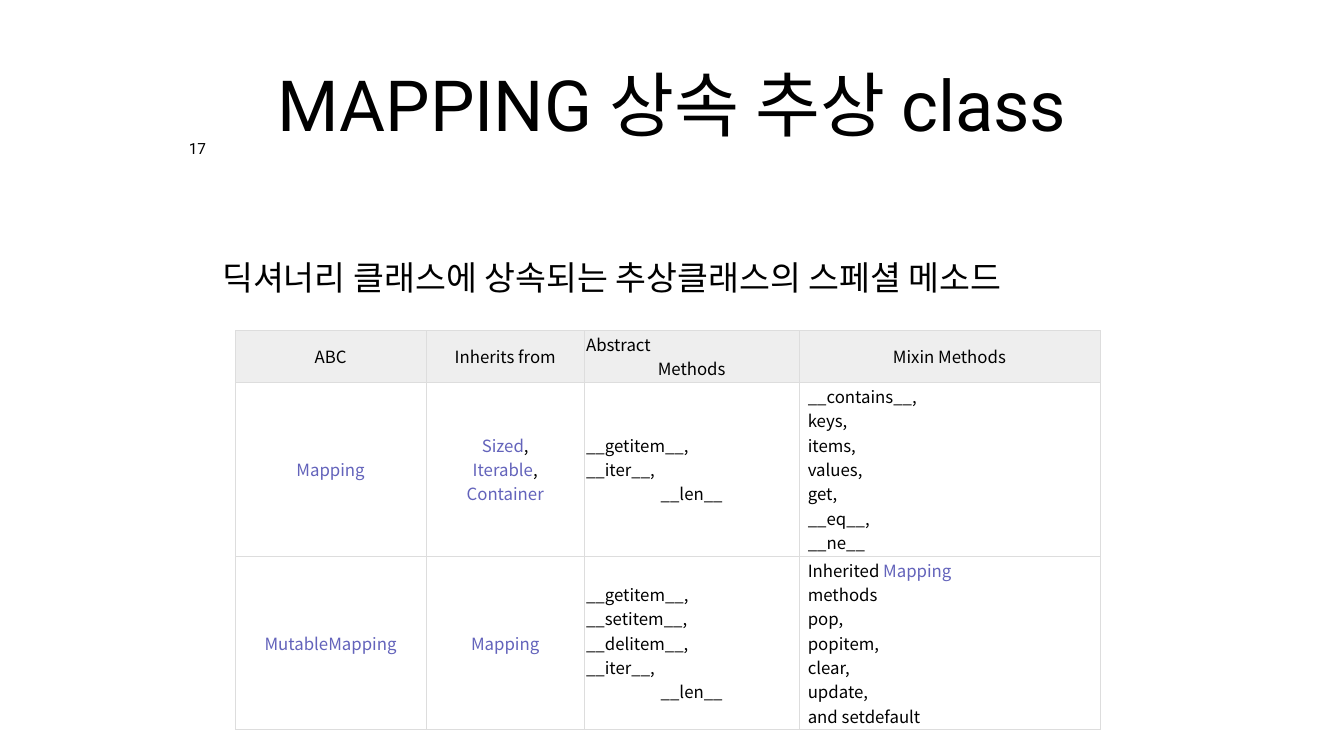
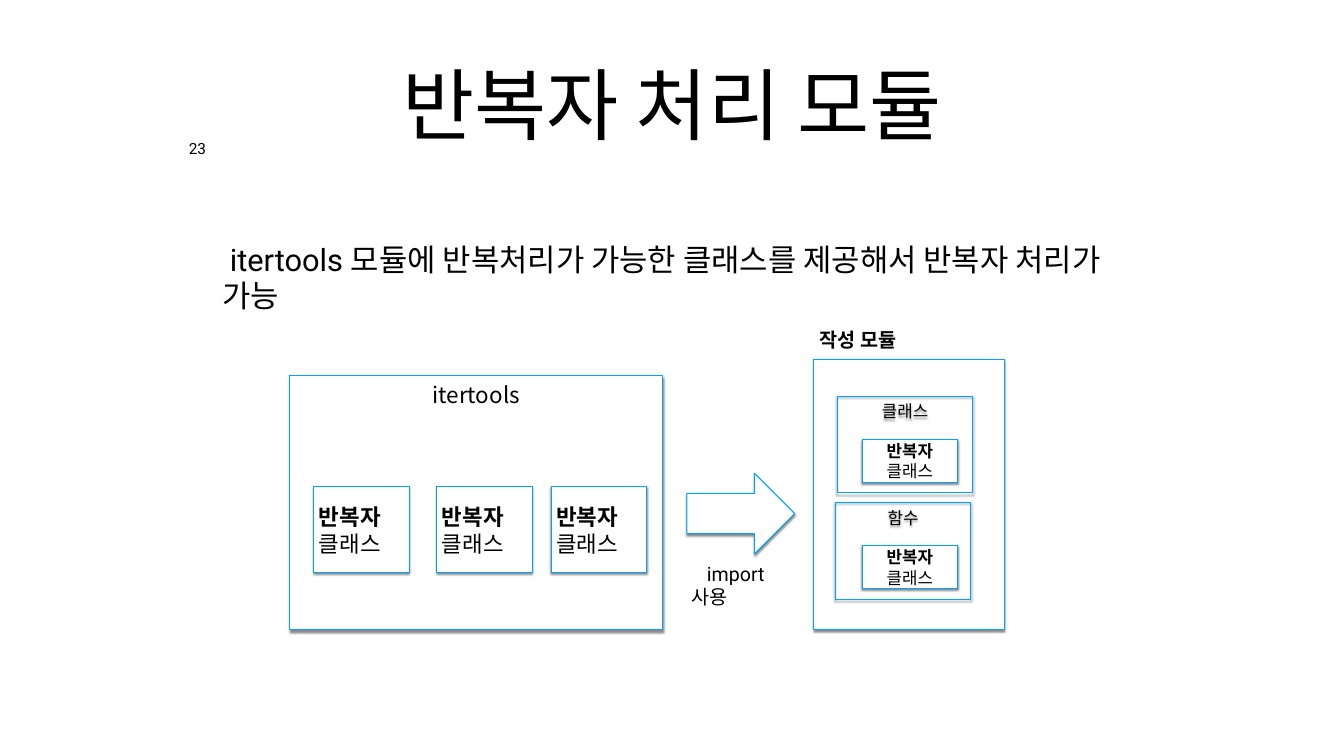
from dataclasses import dataclass
from typing import NamedTuple

from lxml import etree
from pptx import Presentation
from pptx import util as u
from pptx.dml import color as dml
from pptx.enum import shapes, text
from pptx.oxml import ns

COLORS = {
    "ink": "000000",
    "paper": "FFFFFF",
    "link": "6363BB",
    "header": "EEEEEE",
    "grid": "DDDDDD",
    "outline": "00A2FF",
}
ROBOTO = "Roboto"
NOTO = "Noto Sans CJK KR"
LEFT, CENTER = text.PP_ALIGN.LEFT, text.PP_ALIGN.CENTER
TOP, MIDDLE = text.MSO_ANCHOR.TOP, text.MSO_ANCHOR.MIDDLE
RECTANGLE = shapes.MSO_SHAPE.RECTANGLE


class Span(NamedTuple):
    text: str
    color: str = "ink"
    bold: bool = False


class Area(NamedTuple):
    left: float
    top: float
    width: float
    height: float

    def lengths(self) -> list:
        return [u.Inches(value) for value in self]


@dataclass
class Style:
    size: float
    font: str = NOTO
    align: text.PP_ALIGN = CENTER
    anchor: text.MSO_ANCHOR = TOP
    inset: float = 0.1
    indent: float = 0
    before: float = 0
    spacing: float = 1


@dataclass
class Panel:
    area: Area
    lines: tuple = ()
    style: Style | None = None
    geometry: shapes.MSO_SHAPE = RECTANGLE
    filled: bool = True


def rgb(name: str) -> dml.RGBColor:
    return dml.RGBColor.from_string(COLORS[name])


def add_node(parent, tag: str, **attributes):
    node = etree.SubElement(parent, ns.qn(tag))
    for key, value in attributes.items():
        node.set(key, str(value))
    return node


def write_lines(frame, lines: tuple, style: Style) -> None:
    frame.vertical_anchor = style.anchor
    for index, line in enumerate(lines):
        para = frame.paragraphs[0] if index == 0 else frame.add_paragraph()
        para.alignment = style.align
        para.line_spacing = style.spacing
        para.space_before = u.Pt(style.before)
        properties = para._p.get_or_add_pPr()
        properties.set("marL", "0")
        properties.set("indent", str(u.Inches(style.indent)))
        add_node(properties, "a:buNone")
        font = para.font
        font.size, font.name = u.Pt(style.size), style.font
        font.color.rgb = rgb("ink")
        add_node(properties.find(ns.qn("a:defRPr")), "a:ea", typeface=NOTO)
        for span in (Span(line),) if isinstance(line, str) else line:
            run = para.add_run()
            run.text = span.text
            if span.color != "ink":
                run.font.color.rgb = rgb(span.color)
            if span.bold:
                run.font.bold = True


def fill_box(box, area: Area, lines: tuple, style: Style, wrap: bool = True) -> None:
    box.left, box.top, box.width, box.height = area.lengths()
    frame = box.text_frame
    frame.auto_size = text.MSO_AUTO_SIZE.NONE
    frame.word_wrap = wrap
    frame.margin_left = frame.margin_right = u.Inches(style.inset)
    frame.margin_top = frame.margin_bottom = u.Inches(style.inset)
    write_lines(frame, lines, style)


def add_text(page, area: Area, lines: tuple, style: Style, wrap: bool = True) -> None:
    box = page.shapes.add_textbox(*area.lengths())
    fill_box(box, area, lines, style, wrap)


def add_page(deck, number: int, title: str, title_size: float,
             body: str, body_size: float, body_indent: float = 0):
    page = deck.slides.add_slide(deck.slide_layouts[1])
    fill_box(page.shapes.title, Area(4.8, 0.39, 17.07, 3.32), (title,),
             Style(title_size, ROBOTO, anchor=MIDDLE, inset=0.08))
    fill_box(page.placeholders[1], Area(4.33, 3.5, 18, 4), (body,),
             Style(body_size, ROBOTO, LEFT, MIDDLE, 0.08, body_indent, before=59))
    add_text(page, Area(3.67, 2.75, 0.5, 0.45), (str(number),),
             Style(22, ROBOTO, inset=0.08, spacing=0.8), wrap=False)
    return page


def add_panel(page, panel: Panel) -> None:
    shape = page.shapes.add_shape(panel.geometry, *panel.area.lengths())
    if panel.filled:
        shape.fill.solid()
        shape.fill.fore_color.rgb = rgb("paper")
    else:
        shape.fill.background()
    shape.line.color.rgb = rgb("outline")
    shape.line.width = u.Pt(1.5)
    shape.shadow.inherit = False
    effects = shape._element.spPr.find(ns.qn("a:effectLst"))
    shadow = add_node(effects, "a:outerShdw", blurRad=u.Pt(3), dist=u.Pt(2.4),
                      dir=5400000, rotWithShape=0)
    shade = add_node(shadow, "a:srgbClr", val=COLORS["ink"])
    add_node(shade, "a:alpha", val=45000)
    if panel.style:
        fill_box(shape, panel.area, panel.lines, panel.style)


def add_borders(cell) -> None:
    properties = cell._tc.get_or_add_tcPr()
    for index, side in enumerate("LRTB"):
        border = add_node(properties, f"a:ln{side}", w=u.Pt(0.6))
        fill = add_node(border, "a:solidFill")
        add_node(fill, "a:srgbClr", val=COLORS["grid"])
        properties.insert(index, border)


def add_method_table(page) -> None:
    mapping = Span("Mapping", "link")
    rows = [
        [("ABC",), ("Inherits from",), ("Abstract", "Methods"), ("Mixin Methods",)],
        [
            ((mapping,),),
            ((Span("Sized", "link"), Span(",")),
             (Span("Iterable", "link"), Span(",")),
             (Span("Container", "link"),)),
            ("__getitem__,", "__iter__,", "__len__"),
            ("__contains__,", "keys,", "items,", "values,", "get,", "__eq__,", "__ne__"),
        ],
        [
            ((Span("MutableMapping", "link"),),),
            ((mapping,),),
            ("__getitem__,", "__setitem__,", "__delitem__,", "__iter__,", "__len__"),
            ((Span("Inherited "), mapping), "methods", "pop,", "popitem,",
             "clear,", "update,", "and setdefault"),
        ],
    ]
    abstract_column, mixin_column = 2, 3
    area = Area(4.67, 6.56, 17.17, 7.03)
    table = page.shapes.add_table(len(rows), len(rows[0]), *area.lengths()).table
    table.first_row = table.horz_banding = False
    for column, width in zip(table.columns, (3.78, 3.15, 4.25, 5.98)):
        column.width = u.Inches(width)
    for row, height in zip(table.rows, (0.87, 2.85, 3.31)):
        row.height = u.Inches(height)
    for row_index, row in enumerate(rows):
        for column_index, lines in enumerate(row):
            cell = table.cell(row_index, column_index)
            is_mixin_list = row_index > 0 and column_index == mixin_column
            cell.margin_left = u.Inches(0.18 if is_mixin_list else 0.03)
            cell.margin_right = cell.margin_top = cell.margin_bottom = u.Inches(0.03)
            cell.fill.solid()
            cell.fill.fore_color.rgb = rgb("paper" if row_index else "header")
            add_borders(cell)
            write_lines(cell.text_frame, lines, Style(24, align=LEFT if is_mixin_list else CENTER))
            cell.vertical_anchor = MIDDLE
            if column_index == abstract_column:
                for para in cell.text_frame.paragraphs[:-1]:
                    para.alignment = LEFT


def add_import_diagram(page) -> None:
    iterator_class = ((Span("반복자", bold=True),), "클래스")
    add_panel(page, Panel(Area(5.75, 7.46, 7.4, 5.04), ("itertools",), Style(32)))
    for left in (6.23, 8.67, 10.94):
        add_panel(page, Panel(Area(left, 9.66, 1.89, 1.7), iterator_class,
                              Style(32, align=LEFT, anchor=MIDDLE)))
    add_panel(page, Panel(Area(16.15, 7.14, 3.78, 5.35)))
    add_text(page, Area(16.17, 6.4, 3.13, 0.67), ((Span("작성 모듈", bold=True),),),
             Style(28, ROBOTO, LEFT))
    add_panel(page, Panel(Area(13.63, 9.39, 2.14, 1.6),
                          geometry=shapes.MSO_SHAPE.RIGHT_ARROW))
    caption = Area(13.63, 11.05, 2.52, 0.81)
    add_text(page, caption, ("import",), Style(28, ROBOTO, LEFT, indent=0.3))
    add_text(page, caption._replace(top=caption.top + 0.46), ("사용",),
             Style(28, ROBOTO, LEFT))
    for left, top, name in ((16.62, 7.86, "클래스"), (16.58, 9.97, "함수")):
        add_panel(page, Panel(Area(17.11, top + 0.86, 1.89, 0.85), iterator_class,
                              Style(24, anchor=MIDDLE)))
        add_panel(page, Panel(Area(left, top, 2.68, 1.92), (name,), Style(24), filled=False))


def main() -> None:
    deck = Presentation()
    deck.slide_width, deck.slide_height = u.Inches(26.67), u.Inches(15)
    mapping_page = add_page(deck, 17, "MAPPING 상속 추상 class", 100.8,
                            "딕셔너리 클래스에 상속되는 추상클래스의 스페셜 메소드", 48)
    add_method_table(mapping_page)
    iterator_page = add_page(
        deck, 23, "반복자 처리 모듈", 112,
        "itertools 모듈에 반복처리가 가능한 클래스를 제공해서 반복자 처리가 가능", 44, 0.15)
    add_import_diagram(iterator_page)
    deck.save("out.pptx")


if __name__ == "__main__":
    main()
